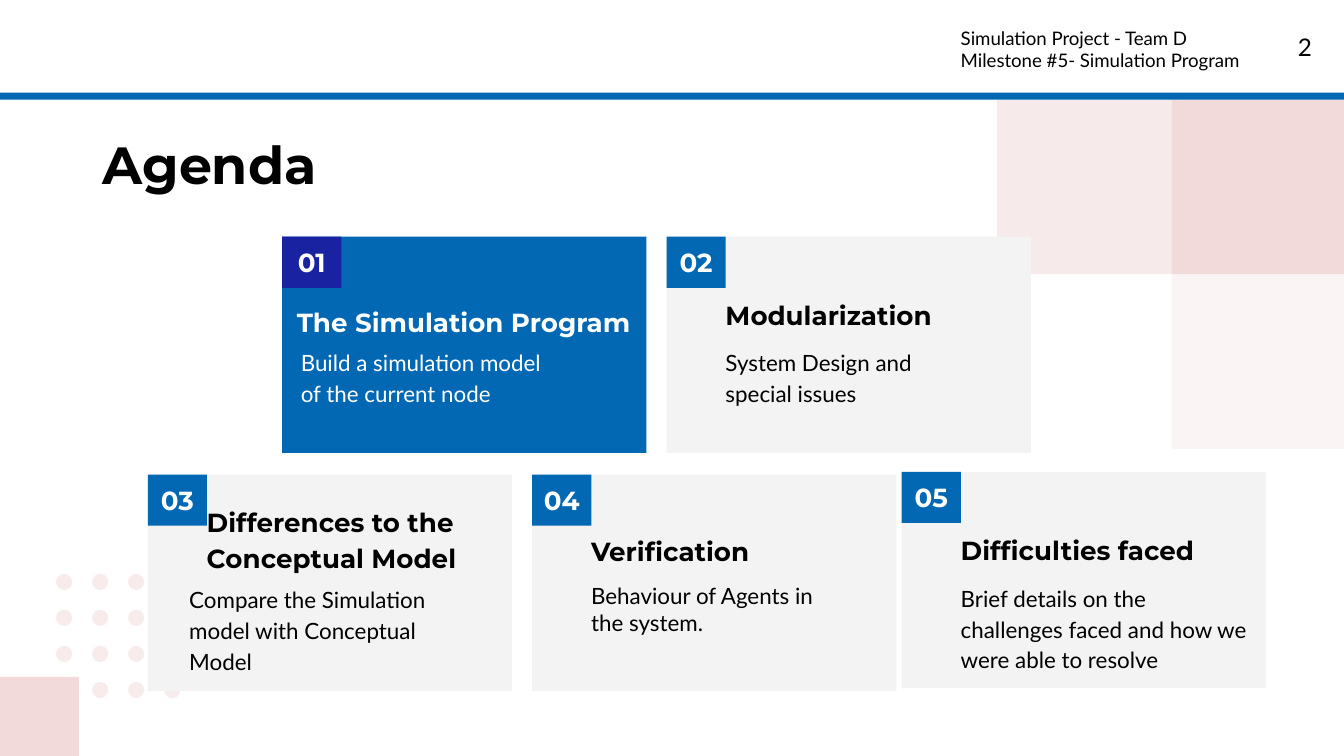
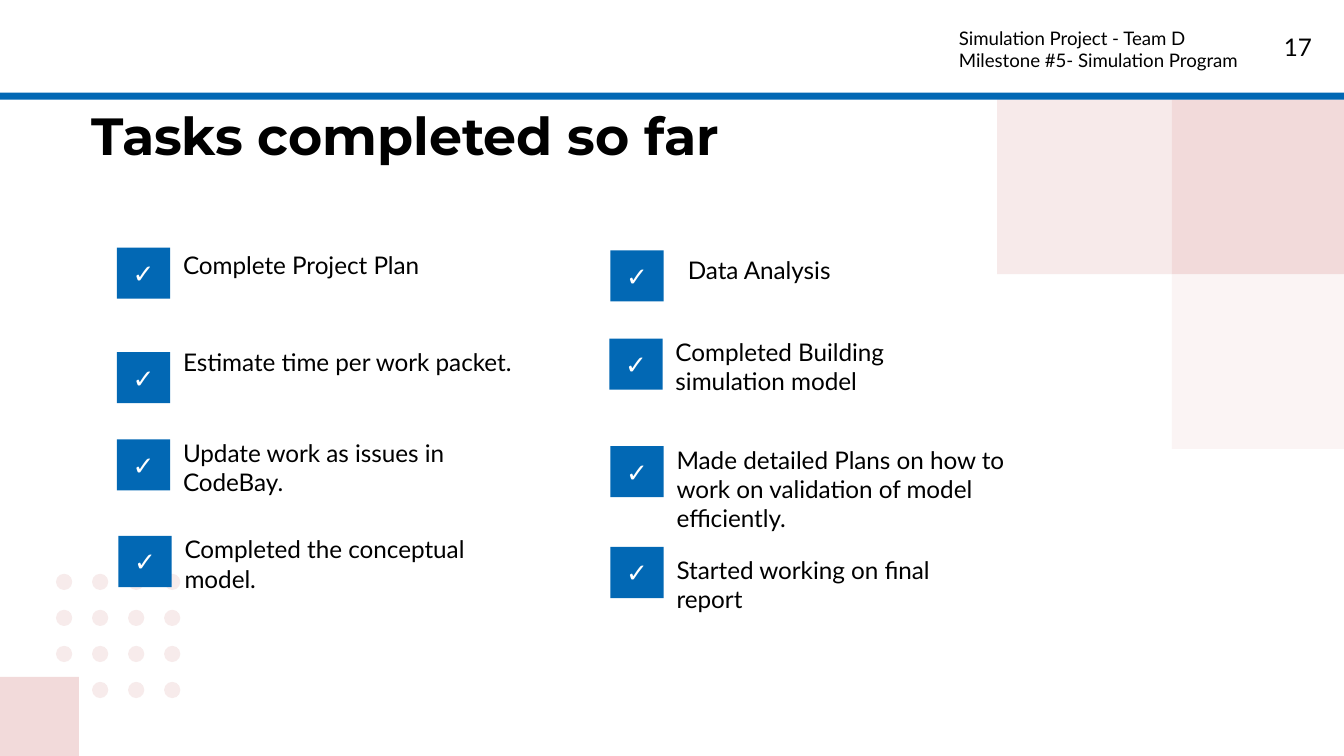
from dataclasses import dataclass
from itertools import product

from lxml.etree import SubElement
from pptx import Presentation
from pptx.dml.color import RGBColor
from pptx.enum.shapes import MSO_SHAPE as Shape
from pptx.enum.text import MSO_ANCHOR as Anchor, PP_ALIGN as Align
from pptx.oxml.ns import qn
from pptx.util import Pt


@dataclass(frozen=True)
class Theme:
    blue: str = "0268B4"
    navy: str = "1922A1"
    white: str = "FFFFFF"
    black: str = "000000"
    card: str = "F3F3F3"
    pink: str = "F2DADA"
    dot: str = "F7EBEB"
    heading_font: str = "Montserrat"
    body_font: str = "Lato"
    title_size: float = 28
    heading_size: float = 14
    task_size: float = 13
    body_size: float = 12
    header_size: float = 10


@dataclass(frozen=True)
class Topic:
    left: float
    top: float
    heading: str
    heading_box: tuple
    body: str
    body_box: tuple
    body_format: dict
    active: bool = False


@dataclass(frozen=True)
class Task:
    left: float
    top: float
    text: str
    rise: float
    width: float = 175
    height: float = 45.4
    indent: float = 28.4


THEME = Theme()
SLIDE_WIDTH, SLIDE_HEIGHT = 720, 405
INSET = 7.2
BADGE_HEIGHT = 27.4
CARD_WIDTH, CARD_HEIGHT = 195.1, 115.9
SQUARE = 93.6
SQUARE_LEFT, SQUARE_TOP = 627.8, 53.3
CORNER = 42.3
DOT_SIZE, DOT_PITCH = 8.7, 19.3
DOT_LEFT, DOT_TOP = 30, 307.4

HEADING = {"name": THEME.heading_font, "size": Pt(THEME.heading_size), "bold": True}
TITLE = {**HEADING, "size": Pt(THEME.title_size)}
BODY = {"name": THEME.body_font, "size": Pt(THEME.body_size), "bold": False}
TASK = {**BODY, "size": Pt(THEME.task_size)}
HEADER = {**BODY, "size": Pt(THEME.header_size)}
LOOSE = {"line_spacing": 1.15}
SPACED = {"space_after": Pt(8)}
CENTERED = {"alignment": Align.CENTER}
RIGHT = {"alignment": Align.RIGHT}

TOPICS = [
    Topic(151.2, 126.8, "The Simulation Program", (0.7, 27.4, 216.7, 27.4),
          "Build a simulation model of the current node", (2.9, 51.1, 155.5, 41), LOOSE, True),
    Topic(357.1, 126.8, "Modularization", (24.5, 23.8, 146.2, 27.4),
          "System Design and special issues", (24.5, 51.1, 146.2, 41), LOOSE),
    Topic(79.2, 254.2, "Differences to the Conceptual Model", (24.5, 7.2, 175.7, 61.2),
          "Compare the Simulation model with Conceptual Model", (15.1, 50.4, 155.5, 61.2), LOOSE),
    Topic(285.1, 254.2, "Verification", (24.5, 23, 146.2, 27.4),
          "Behaviour of Agents in the system.", (24.5, 50.4, 146.2, 52.6), SPACED),
    Topic(483.1, 252.8, "Difficulties faced", (24.5, 23.8, 146.2, 27.4),
          "Brief details on the challenges faced and how we were able to resolve",
          (24.5, 51.1, 168, 61.2), LOOSE),
]

TASKS = [
    Task(62.6, 132.6, "Complete Project Plan", 5.8, height=40.3),
    Task(62.6, 188.6, "Estimate time per work packet.", 10, width=195.1),
    Task(62.6, 235.4, "Update work as issues in CodeBay.", 7.9),
    Task(63.4, 287.1, "Completed the conceptual model.", 7.9),
    Task(327, 134.1, "Data Analysis", 4.3, width=181.4, height=40.3, indent=34.4),
    Task(326.4, 181.4, "Completed Building simulation model", 7.9),
    Task(327, 239, "Made detailed Plans on how to work on validation of model efficiently.",
         7.9, width=218.2),
    Task(327, 293, "Started working on final report", 2.9, height=40.3),
]


def apply_format(target, values):
    for name, value in values.items():
        setattr(target, name, value)


def points(box):
    return [Pt(length) for length in box]


def write(shape, lines, font, color, paragraph_format=None, frame_format=None):
    frame = shape.text_frame
    apply_format(frame, {
        "word_wrap": True, "vertical_anchor": Anchor.TOP,
        "margin_left": Pt(INSET), "margin_right": Pt(INSET),
        "margin_top": Pt(INSET), "margin_bottom": Pt(INSET),
        **(frame_format or {}),
    })
    for index, line in enumerate(lines):
        paragraph = frame.add_paragraph() if index else frame.paragraphs[0]
        apply_format(paragraph, paragraph_format or {})
        run = paragraph.add_run()
        run.text = line
        apply_format(run.font, font)
        run.font.color.rgb = RGBColor.from_string(color)


def add_text(slide, box, lines, font, color=THEME.black, paragraph_format=None):
    shape = slide.shapes.add_textbox(*points(box))
    write(shape, lines, font, color, paragraph_format)


def add_block(shapes, box, color, kind=Shape.RECTANGLE, opacity=100):
    shape = shapes.add_shape(kind, *points(box))
    shape.shadow.inherit = False
    shape.fill.solid()
    shape.fill.fore_color.rgb = RGBColor.from_string(color)
    shape.line.fill.background()
    if opacity < 100:
        fill_color = shape.fill._xPr.find(qn("a:solidFill"))[0]
        SubElement(fill_color, qn("a:alpha"), val=str(opacity * 1000))
    return shape


def add_badge(slide, left, top, width, label, color=THEME.blue):
    shape = add_block(slide.shapes, (left, top, width, BADGE_HEIGHT), color)
    write(shape, [label], HEADING, THEME.white, CENTERED,
          {"vertical_anchor": Anchor.MIDDLE, "margin_left": 0, "margin_right": 0})


def add_dots(slide, covered):
    group = slide.shapes.add_group_shape()
    for row, column in product(range(4), range(4)):
        if (row, column) not in covered:
            box = (DOT_LEFT + column * DOT_PITCH, DOT_TOP + row * DOT_PITCH,
                   DOT_SIZE, DOT_SIZE)
            add_block(group.shapes, box, THEME.dot, Shape.OVAL)


def add_backdrop(slide, covered_dots):
    add_dots(slide, covered_dots)
    add_block(slide.shapes, (0, SLIDE_HEIGHT - CORNER, CORNER, CORNER), THEME.pink)
    for column, row, opacity in ((0, 0, 100), (0, 1, 28), (-1, 0, 55)):
        box = (SQUARE_LEFT + column * SQUARE, SQUARE_TOP + row * SQUARE, SQUARE, SQUARE)
        add_block(slide.shapes, box, THEME.pink, opacity=opacity)
    add_block(slide.shapes, (0, 0, SLIDE_WIDTH, 49.7), THEME.white)
    add_block(slide.shapes, (0, 49.7, SLIDE_WIDTH, 3.8), THEME.blue)


def add_header(slide, number, left):
    add_text(slide, (left, 7.2, 181, 40.3),
             ["Simulation Project - Team D", "Milestone #5- Simulation Program"], HEADER)
    add_text(slide, (666.7, 10.1, 43.2, 31), [number], TASK, paragraph_format=RIGHT)


def start_slide(presentation, number, header_left, title, title_box, covered_dots):
    slide = presentation.slides.add_slide(presentation.slide_layouts[6])
    add_backdrop(slide, covered_dots)
    add_header(slide, number, header_left)
    add_text(slide, title_box, [title], TITLE)
    return slide


def add_topic(slide, number, topic):
    def inside(box):
        left, top, width, height = box
        return topic.left + left, topic.top + top, width, height

    ink = THEME.white if topic.active else THEME.black
    add_block(slide.shapes, (topic.left, topic.top, CARD_WIDTH, CARD_HEIGHT),
              THEME.blue if topic.active else THEME.card)
    add_text(slide, inside(topic.heading_box), [topic.heading], HEADING, ink, LOOSE)
    add_text(slide, inside(topic.body_box), [topic.body], BODY, ink, topic.body_format)
    add_badge(slide, topic.left, topic.top, 31.7, f"{number:02}",
              THEME.navy if topic.active else THEME.blue)


def add_task(slide, task):
    box = (task.left + task.indent, task.top - task.rise, task.width, task.height)
    add_text(slide, box, [task.text], TASK, paragraph_format=SPACED)
    add_badge(slide, task.left, task.top, 28.6, "✓")


def main():
    presentation = Presentation()
    apply_format(presentation, {"slide_width": Pt(SLIDE_WIDTH), "slide_height": Pt(SLIDE_HEIGHT)})

    under_corner = {(3, 0)}
    under_card = {(row, 3) for row in range(3)}
    agenda = start_slide(presentation, "2", 507.6, "Agenda", (48, 63.4, 607.7, 45.4),
                         under_corner | under_card)
    for number, topic in enumerate(TOPICS, 1):
        add_topic(agenda, number, topic)

    completed = start_slide(presentation, "17", 506.6, "Tasks completed so far",
                            (41.8, 48, 614.9, 74.9), under_corner)
    for task in TASKS:
        add_task(completed, task)

    presentation.save("out.pptx")


if __name__ == "__main__":
    main()
